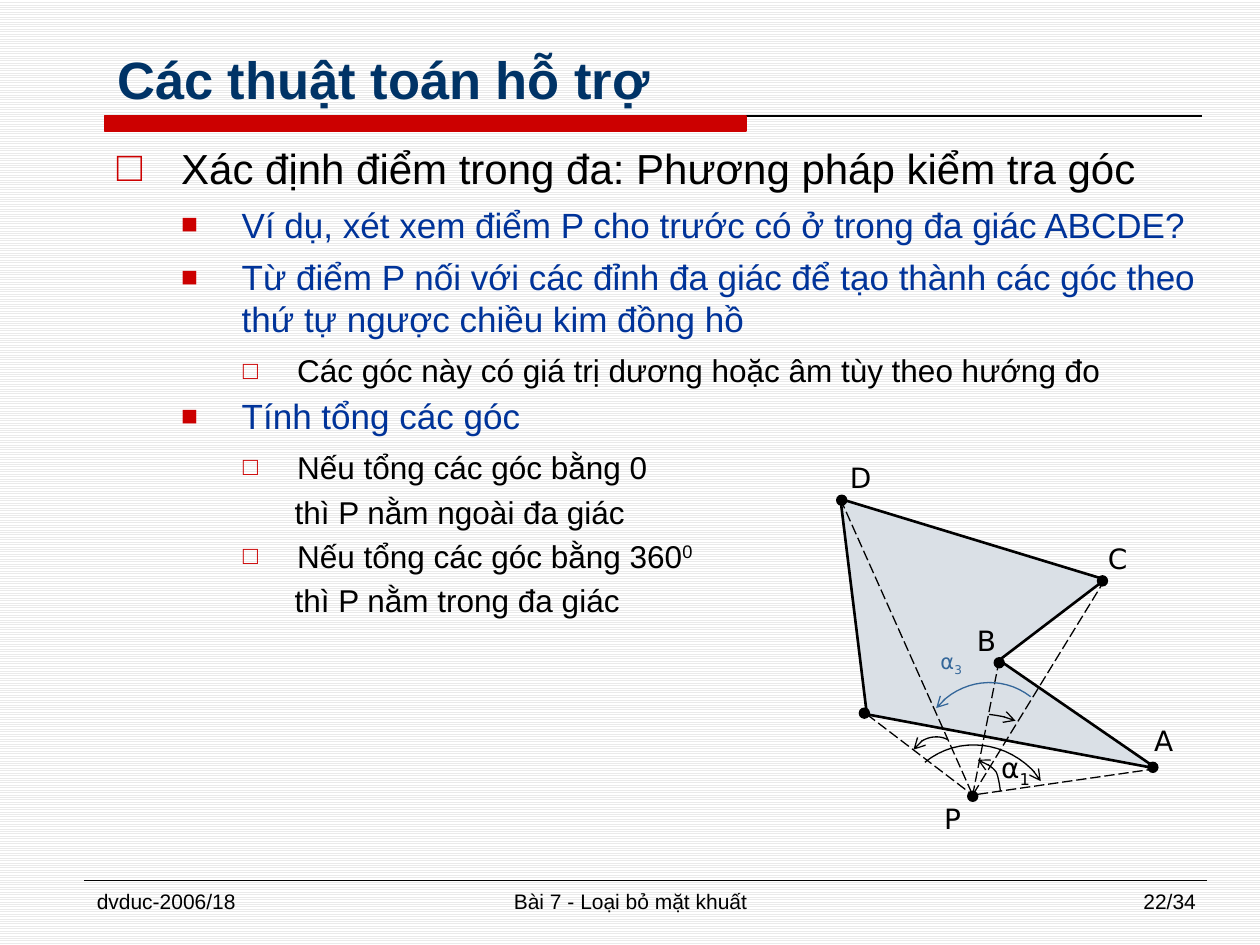
from dataclasses import dataclass
from typing import NamedTuple

from pptx import Presentation
from pptx.dml.color import RGBColor
from pptx.enum.dml import MSO_LINE, MSO_PATTERN
from pptx.enum.shapes import MSO_CONNECTOR, MSO_SHAPE
from pptx.enum.text import MSO_ANCHOR, MSO_AUTO_SIZE, PP_ALIGN
from pptx.oxml.ns import qn
from pptx.util import Inches, Pt
from lxml.etree import SubElement

COLORS = {
    "title": "003366", "accent": "CC0000", "blue": "003399", "black": "000000",
    "angle": "336699", "polygon": "DAE0E6", "stripe": "EAEAEA", "white": "FFFFFF",
}
DOT_SIZE = 0.08
CURVE_STEPS = 16


class Point(NamedTuple):
    x: float
    y: float


class Level(NamedTuple):
    margin: float
    indent: float
    size: float
    color: str
    before: float
    after: float
    bullet: str = ""
    bullet_size: int = 100


class Label(NamedTuple):
    text: str
    left: float
    top: float
    width: float = 0.84
    size: float = 16
    color: str = "black"
    subscript: str = ""


@dataclass
class Arc:
    points: list[Point]  # start, then three points for each cubic segment
    color: str = "black"


LEVELS = {
    "main": Level(0.51, -0.51, 24, "black", 3, 3, "□"),
    "step": Level(0.99, -0.48, 20, "blue", 3, 3, "■", 80),
    "detail": Level(1.43, -0.43, 18, "black", 3.7, 0, "□", 80),
    "result": Level(1.41, 0, 18, "black", 3.7, 0),
}
BODY = [
    ("main", "Xác định điểm trong đa: Phương pháp kiểm tra góc", ""),
    ("step", "Ví dụ, xét xem điểm P cho trước có ở trong đa giác ABCDE?", ""),
    ("step", "Từ điểm P nối với các đỉnh đa giác để tạo thành các góc theo "
             "thứ tự ngược chiều kim đồng hồ", ""),
    ("detail", "Các góc này có giá trị dương hoặc âm tùy theo hướng đo", ""),
    ("step", "Tính tổng các góc", ""),
    ("detail", "Nếu tổng các góc bằng 0", ""),
    ("result", "thì P nằm ngoài đa giác", ""),
    ("detail", "Nếu tổng các góc bằng 360", "0"),
    ("result", "thì P nằm trong đa giác", ""),
]
FOOTERS = [
    (0.67, 2.17, "dvduc-2006/18", PP_ALIGN.LEFT),
    (3.42, 3.17, "Bài 7 - Loại bỏ mặt khuất", PP_ALIGN.CENTER),
    (7.42, 2.17, "22/34", PP_ALIGN.RIGHT),
]
VERTICES = {
    "E": Point(6.88, 5.67), "D": Point(6.67, 3.96), "C": Point(8.77, 4.6),
    "B": Point(7.93, 5.24), "A": Point(9.18, 6.1),
}
VIEWPOINT = Point(7.72, 6.31)
DOTS = [Point(7.72, 6.32), Point(9.15, 6.09), Point(7.93, 5.26),
        Point(8.75, 4.61), Point(6.86, 5.66), Point(6.68, 3.97)]
LABELS = [
    Label("P", 7.14, 6.31), Label("B", 7.41, 4.9), Label("C", 8.45, 4.25),
    Label("D", 6.41, 3.61), Label("A", 8.94, 5.69, width=0.59),
    Label("α", 7.64, 5.91, subscript="1"),
    Label("α", 7.13, 5.1, size=12, color="angle", subscript="3"),
]
ARCS = [
    Arc([Point(7.94, 6.28), Point(7.94, 6.27), Point(7.92, 6.13), Point(7.9, 6.12),
         Point(7.87, 6.08), Point(7.81, 6.05), Point(7.76, 6.03)]),
    Arc([Point(7.85, 5.67), Point(7.93, 5.68), Point(7.99, 5.69), Point(8.06, 5.72)]),
    Arc([Point(7.34, 6.05), Point(7.61, 5.83), Point(8, 5.88), Point(8.23, 6.15),
         Point(8.24, 6.16), Point(8.25, 6.18), Point(8.26, 6.2)]),
    Arc([Point(7.52, 5.87), Point(7.43, 5.82), Point(7.3, 5.86), Point(7.25, 5.95)]),
    Arc([Point(8.18, 5.53), Point(7.95, 5.35), Point(7.62, 5.39), Point(7.43, 5.62)],
        "angle"),
]


def rgb(name: str) -> RGBColor:
    return RGBColor.from_string(COLORS[name])


def apply_format(target, values: dict) -> None:
    for name, value in values.items():
        setattr(target, name, value)


def add_run(paragraph, text: str, size: float, color: str, font: str = "Arial",
            bold: bool = False, baseline: int = 0) -> None:
    run = paragraph.add_run()
    run.text = text
    apply_format(run.font, {"name": font, "size": Pt(size), "bold": bold})
    run.font.color.rgb = rgb(color)
    if baseline:
        run.font._element.set("baseline", str(baseline * 1000))


def add_text_box(slide, left: float, top: float, width: float, height: float):
    box = slide.shapes.add_textbox(*map(Inches, (left, top, width, height)))
    box.text_frame.word_wrap = True
    return box.text_frame


def format_level(paragraph, level: Level) -> None:
    apply_format(paragraph, {"space_before": Pt(level.before),
                             "space_after": Pt(level.after)})
    properties = paragraph._p.get_or_add_pPr()
    properties.set("marL", str(Inches(level.margin)))
    properties.set("indent", str(Inches(level.indent)))
    if level.bullet:
        color = SubElement(properties, qn("a:buClr"))
        SubElement(color, qn("a:srgbClr"), val=COLORS["accent"])
        SubElement(properties, qn("a:buSzPct"), val=str(level.bullet_size * 1000))
        SubElement(properties, qn("a:buFont"), typeface="Arial")
        SubElement(properties, qn("a:buChar"), char=level.bullet)


def add_line(slide, start: Point, end: Point, width: float, dash=None) -> None:
    line = slide.shapes.add_connector(
        MSO_CONNECTOR.STRAIGHT, *map(Inches, (*start, *end)))
    line.line.color.rgb = rgb("black")
    apply_format(line.line, {"width": Pt(width), "dash_style": dash})
    SubElement(line._element.spPr, qn("a:effectLst"))


def add_outline(slide, points: list[Point], color: str, width: float, fill: str = ""):
    corners = [(Inches(point.x), Inches(point.y)) for point in points]
    builder = slide.shapes.build_freeform(*corners[0])
    builder.add_line_segments(corners[1:], close=bool(fill))
    shape = builder.convert_to_shape()
    shape.shadow.inherit = False
    shape.line.color.rgb = rgb(color)
    shape.line.width = Pt(width)
    if fill:
        shape.fill.solid()
        shape.fill.fore_color.rgb = rgb(fill)
    else:
        shape.fill.background()
    return shape


def add_solid(slide, kind, left: float, top: float, width: float, height: float,
              color: str) -> None:
    shape = slide.shapes.add_shape(kind, *map(Inches, (left, top, width, height)))
    shape.shadow.inherit = False
    shape.fill.solid()
    shape.fill.fore_color.rgb = rgb(color)
    shape.line.color.rgb = rgb(color)
    shape.line.width = Pt(0.75)


def curve_points(points: list[Point]) -> list[Point]:
    result = [points[0]]
    for first in range(0, len(points) - 1, 3):
        controls = points[first:first + 4]
        for step in range(1, CURVE_STEPS + 1):
            t = step / CURVE_STEPS
            weights = ((1 - t) ** 3, 3 * t * (1 - t) ** 2, 3 * t * t * (1 - t), t ** 3)
            result.append(Point(sum(w * p.x for w, p in zip(weights, controls)),
                                sum(w * p.y for w, p in zip(weights, controls))))
    return result


def add_arc(slide, arc: Arc) -> None:
    shape = add_outline(slide, curve_points(arc.points), arc.color, 0.75)
    SubElement(shape._element.spPr.find(qn("a:ln")), qn("a:tailEnd"), type="arrow")


def add_label(slide, label: Label) -> None:
    frame = add_text_box(slide, label.left, label.top, label.width, 0.43)
    paragraph = frame.paragraphs[0]
    paragraph.alignment = PP_ALIGN.CENTER
    for text, baseline in ((label.text, 0), (label.subscript, -25)):
        if text:
            add_run(paragraph, text, label.size, label.color, "DejaVu Sans",
                    baseline=baseline)


def add_title(slide, text: str) -> None:
    title = slide.shapes.title
    apply_format(title, {"left": Inches(0.83), "top": Inches(0.17),
                         "width": Inches(9), "height": Inches(0.75)})
    apply_format(title.text_frame, {"vertical_anchor": MSO_ANCHOR.BOTTOM,
                                    "auto_size": MSO_AUTO_SIZE.NONE})
    paragraph = title.text_frame.paragraphs[0]
    paragraph.alignment = PP_ALIGN.LEFT
    add_run(paragraph, text, 30, "title", bold=True)


def main() -> None:
    presentation = Presentation()
    apply_format(presentation, {"slide_width": Inches(10), "slide_height": Inches(7.5)})
    slide = presentation.slides.add_slide(presentation.slide_layouts[5])

    # Striped background, title and rules
    background = slide.background.fill
    background.patterned()
    background.pattern = MSO_PATTERN.LIGHT_HORIZONTAL
    background.fore_color.rgb = rgb("stripe")
    background.back_color.rgb = rgb("white")
    add_title(slide, "Các thuật toán hỗ trợ")
    add_line(slide, Point(0.83, 0.92), Point(9.54, 0.92), 0.75)
    add_solid(slide, MSO_SHAPE.RECTANGLE, 0.83, 0.92, 5.09, 0.12, "accent")
    add_line(slide, Point(0.67, 6.99), Point(9.58, 6.99), 0.25)

    # Bulleted text
    frame = add_text_box(slide, 0.83, 1.08, 9, 5.83)
    for index, (name, text, superscript) in enumerate(BODY):
        paragraph = frame.add_paragraph() if index else frame.paragraphs[0]
        level = LEVELS[name]
        format_level(paragraph, level)
        add_run(paragraph, text, level.size, level.color)
        if superscript:
            add_run(paragraph, superscript, level.size, level.color, baseline=30)

    # Polygon with rays, labels, angles and dots
    add_outline(slide, list(VERTICES.values()), "black", 1.5, "polygon")
    for vertex in VERTICES.values():
        add_line(slide, vertex, VIEWPOINT, 0.75, MSO_LINE.LONG_DASH)
    for label in LABELS:
        add_label(slide, label)
    for arc in ARCS:
        add_arc(slide, arc)
    for dot in DOTS:
        add_solid(slide, MSO_SHAPE.OVAL, dot.x - DOT_SIZE / 2, dot.y - DOT_SIZE / 2,
                  DOT_SIZE, DOT_SIZE, "black")

    # Footer
    for left, width, text, alignment in FOOTERS:
        paragraph = add_text_box(slide, left, 7, width, 0.35).paragraphs[0]
        paragraph.alignment = alignment
        add_run(paragraph, text, 12, "black")

    presentation.save("out.pptx")


if __name__ == "__main__":
    main()
